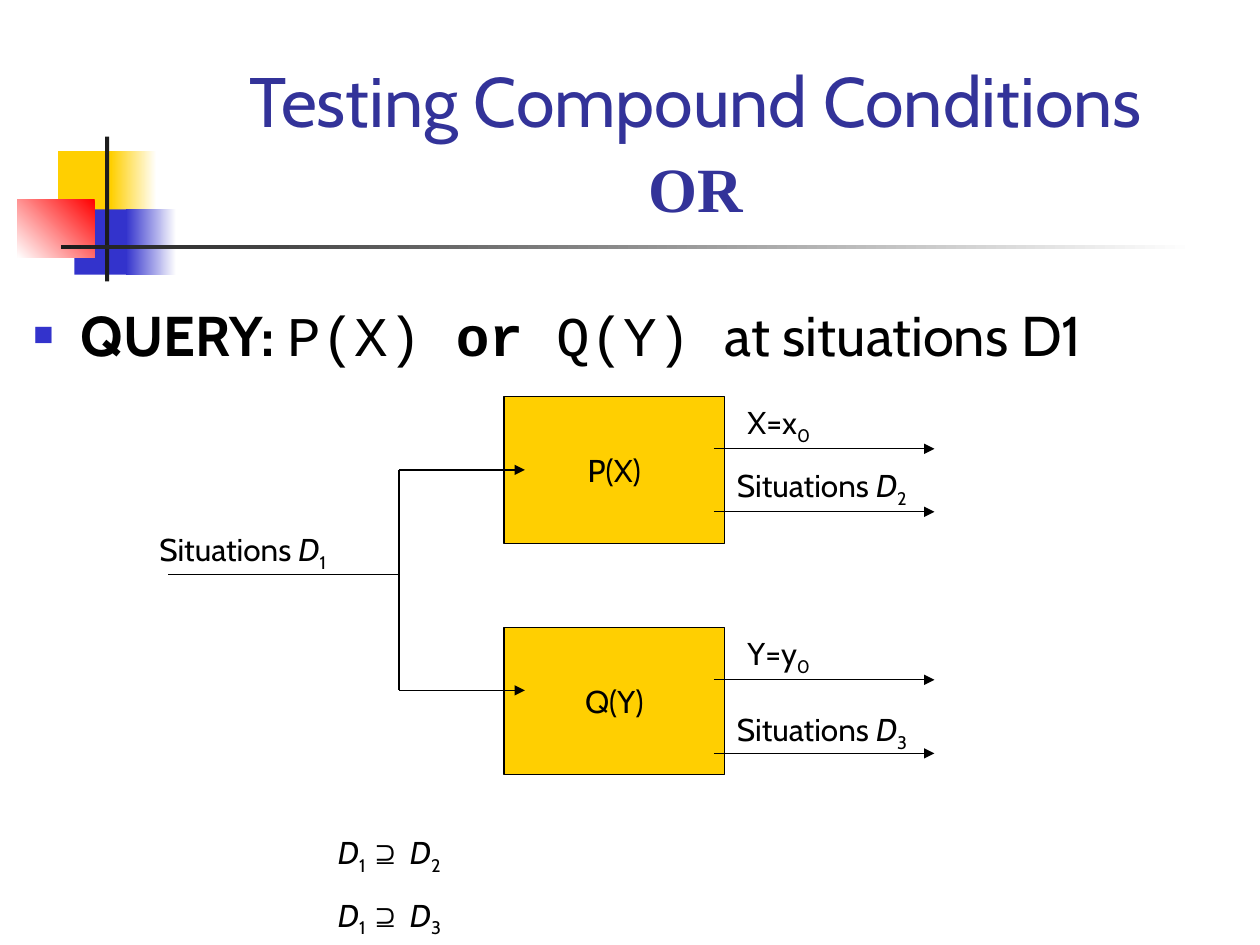
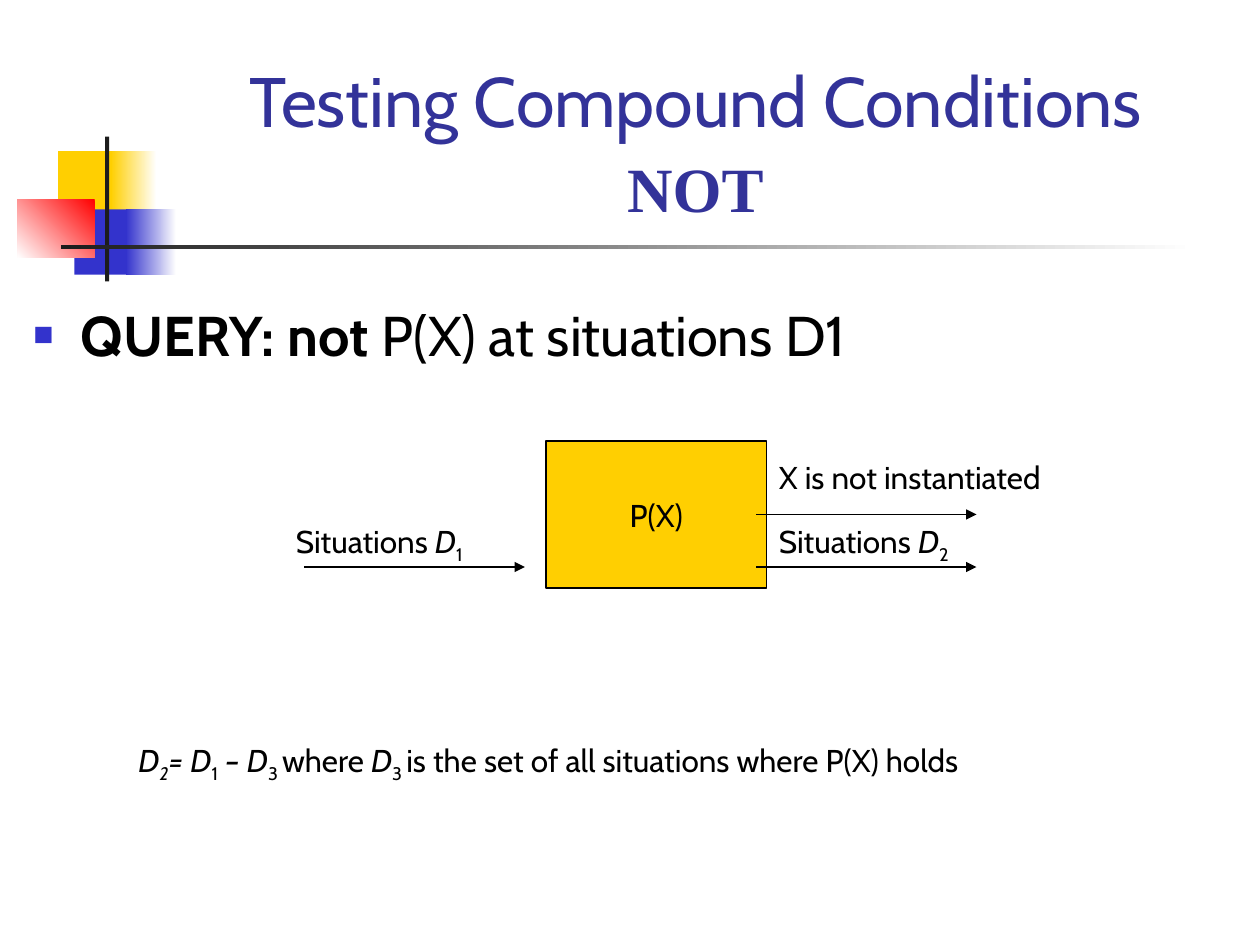
"""Build two slides on testing compound conditions with OR and NOT."""
from dataclasses import dataclass
from typing import NamedTuple

from lxml import etree
from pptx import Presentation
from pptx.dml import color
from pptx.enum import shapes, text
from pptx.oxml import ns
from pptx.util import Pt


@dataclass(frozen=True)
class Theme:
    """Colours, fonts and type sizes."""
    gold: str = "FFCF01"
    blue: str = "3333CC"
    red: str = "FF0000"
    dark: str = "1C1C1C"
    white: str = "FFFFFF"
    black: str = "000000"
    navy: str = "333399"
    sans: str = "Cabin"
    serif: str = "Times New Roman"
    mono: str = "Courier New"
    sign: str = "Arial"
    head: float = 40
    word: float = 36
    query: float = 32
    label: float = 18


T = Theme()


class Area(NamedTuple):
    """Place and size in points."""
    left: float
    top: float
    width: float
    height: float


class Run(NamedTuple):
    """A stretch of text with one format."""
    text: str
    bold: bool = False
    ital: bool = False
    sub: bool = False
    font: str = T.sans


class Block(NamedTuple):
    """A plain or fading rectangle of the corner design."""
    area: Area
    fill: str
    fade: str = ""
    angle: float = 180


class Node(NamedTuple):
    """A condition box, named by its text."""
    name: str
    left: float
    top: float


class Line(NamedTuple):
    """A straight line, with or without an arrowhead."""
    x1: float
    y1: float
    x2: float
    y2: float
    arrow: bool = True


class Note(NamedTuple):
    """A label made of paragraphs of runs."""
    area: Area
    paras: list


class Page(NamedTuple):
    """All that differs from slide to slide."""
    word: str
    query: list
    nodes: list
    lines: list
    notes: list


DECOR = [
    Block(Area(33.2, 86.4, 34.5, 37.4), T.gold),
    Block(Area(63.4, 86.4, 26, 37.4), T.white, T.gold),
    Block(Area(42.5, 119.6, 33, 37.4), T.blue),
    Block(Area(72, 119.6, 28.8, 37.4), T.white, T.blue),
    Block(Area(9.9, 113.8, 44.2, 33.4), T.red, T.white, 225),
    Block(Area(60, 78, 2.4, 82.8), T.dark),
    Block(Area(34.7, 140, 648, 2.5), T.white, T.dark),
]
HEAD = Area(90.7, 30.2, 613.4, 54)
WORD = HEAD._replace(top=78)
BODY = Area(12, 168, 700, 48)
NODE_W, NODE_H = 126, 84
REACH = 126


def rgb(code: str) -> color.RGBColor:
    """Turn a hex code into a colour."""
    return color.RGBColor.from_string(code)


def pts(vals) -> list:
    """Turn numbers into point lengths."""
    return [Pt(val) for val in vals]


def var(num: int) -> list:
    """Give the runs of a situation set with its index."""
    return [Run("D", ital=True), Run(str(num), sub=True)]


def state(num: int) -> list:
    """Give the runs of a situations label."""
    return [Run("Situations "), *var(num)]


def holds(num: int) -> list:
    """Give the runs that say the first set holds another."""
    return [*var(1), Run(" ", sub=True), Run("⊇ ", bold=True, font=T.sign), *var(num)]


def write(frame, paras: list, *, size: float = T.label, tint: str = T.black,
          align=text.PP_ALIGN.LEFT, anchor=text.MSO_ANCHOR.TOP,
          wrap: bool = True, gap: float = 11.2, bullet: bool = False) -> None:
    """Fill a text frame with formatted paragraphs."""
    frame.word_wrap = wrap
    frame.vertical_anchor = anchor
    for num, runs in enumerate(paras):
        para = frame.add_paragraph() if num else frame.paragraphs[0]
        if bullet:
            mark(para)
        para.alignment = align
        if num:
            para.space_before = Pt(gap)
        for item in runs:
            run = para.add_run()
            run.text = item.text
            font = run.font
            font.name, font.size = item.font, Pt(size)
            font.bold, font.italic = item.bold, item.ital
            font.color.rgb = rgb(tint)
            if item.sub:
                run._r.get_or_add_rPr().set("baseline", "-25000")


def mark(para) -> None:
    """Give a paragraph a small square bullet."""
    props = para._p.get_or_add_pPr()
    props.set("marL", str(Pt(27)))
    props.set("indent", str(Pt(-27)))
    tone = etree.SubElement(props, ns.qn("a:buClr"))
    etree.SubElement(tone, ns.qn("a:srgbClr"), val=T.blue)
    etree.SubElement(props, ns.qn("a:buSzPct"), val="60000")
    etree.SubElement(props, ns.qn("a:buFont"), typeface=T.sign)
    etree.SubElement(props, ns.qn("a:buChar"), char="■")


def label(slide, area: Area, paras: list, **form) -> None:
    """Add a text box."""
    write(slide.shapes.add_textbox(*pts(area)).text_frame, paras, **form)


def block(slide, item: Block):
    """Add a rectangle without an outline."""
    shape = slide.shapes.add_shape(shapes.MSO_SHAPE.RECTANGLE, *pts(item.area))
    shape.shadow.inherit = False
    shape.line.fill.background()
    if item.fade:
        shape.fill.gradient()
        shape.fill.gradient_angle = item.angle
        for stop, tone in zip(shape.fill.gradient_stops, (item.fill, item.fade)):
            stop.color.rgb = rgb(tone)
    else:
        shape.fill.solid()
        shape.fill.fore_color.rgb = rgb(item.fill)
    return shape


def stroke(line) -> None:
    """Make a line thin and black."""
    line.color.rgb = rgb(T.black)
    line.width = Pt(0.75)


def box(slide, node: Node) -> None:
    """Add a condition box."""
    shape = block(slide, Block(Area(node.left, node.top, NODE_W, NODE_H), T.gold))
    stroke(shape.line)
    write(shape.text_frame, [[Run(node.name)]], align=text.PP_ALIGN.CENTER,
          anchor=text.MSO_ANCHOR.MIDDLE, wrap=False)


def link(slide, item: Line) -> None:
    """Add a straight line."""
    conn = slide.shapes.add_connector(shapes.MSO_CONNECTOR.STRAIGHT, *pts(item[:4]))
    stroke(conn.line)
    if item.arrow:
        etree.SubElement(conn.line._get_or_add_ln(), ns.qn("a:tailEnd"), type="triangle")
    etree.SubElement(conn._element.spPr, ns.qn("a:effectLst"))


def flow(left: float, *tops: float) -> list:
    """Give level arrows of equal length."""
    return [Line(left, top, left + REACH, top) for top in tops]


def build(deck, page: Page) -> None:
    """Add one slide."""
    slide = deck.slides.add_slide(deck.slide_layouts[6])
    for item in DECOR:
        block(slide, item)
    for node in page.nodes:
        box(slide, node)
    for line in page.lines:
        link(slide, line)
    for note in page.notes:
        label(slide, note.area, note.paras)
    title = dict(tint=T.navy, align=text.PP_ALIGN.CENTER, anchor=text.MSO_ANCHOR.BOTTOM)
    label(slide, HEAD, [[Run("Testing Compound Conditions")]], size=T.head, **title)
    label(slide, WORD, [[Run(page.word, bold=True, font=T.serif)]], size=T.word, **title)
    label(slide, BODY, [page.query], size=T.query, bullet=True)


FORK, UPPER, TRUNK, LOWER = 228, 268.5, 328.5, 394.5

PAGES = [
    Page(
        "OR",
        [Run("QUERY: ", bold=True), Run("P(X) ", font=T.mono),
         Run("or", bold=True, font=T.mono), Run(" Q(Y) ", font=T.mono),
         Run("at situations D1")],
        [Node("P(X)", 288, 226.6), Node("Q(Y)", 288, 358.6)],
        [*flow(408, 256.5, 292.5, 388.5, 430.5),
         Line(FORK, UPPER, 300, UPPER),
         Line(FORK, UPPER, FORK, LOWER, False),
         Line(FORK, LOWER, 300, LOWER),
         Line(FORK, TRUNK, 96, TRUNK, False)],
        [Note(Area(84, 299.5, 150, 31.7), [state(1)]),
         Note(Area(414, 262.6, 120, 31.7), [state(2)]),
         Note(Area(414, 402, 120, 31.7), [state(3)]),
         Note(Area(420, 226.6, 60, 31.7), [[Run("X=x"), Run("0", sub=True)]]),
         Note(Area(420, 358.6, 60, 31.7), [[Run("Y=y"), Run("0", sub=True)]]),
         Note(Area(186, 472.5, 90, 67), [holds(2), holds(3)])],
    ),
    Page(
        "NOT",
        [Run("QUERY: not ", bold=True), Run("P(X) at situations D1")],
        [Node("P(X)", 312, 252)],
        [*flow(432, 294, 324), *flow(174, 324)],
        [Note(Area(438, 258, 192, 28.8), [[Run("X is not instantiated")]]),
         Note(Area(438, 295, 216, 31.7), [state(2)]),
         Note(Area(162, 295, 150, 31.7), [state(1)]),
         Note(Area(72, 420, 630, 31.7), [[
             Run("D", ital=True), Run("2", ital=True, sub=True),
             Run("= ", ital=True), *var(1), Run(" – ", ital=True), *var(3),
             Run(" ", sub=True), Run("where "), *var(3), Run(" ", sub=True),
             Run("is the set of all situations where P(X) holds")]])],
    ),
]


def main() -> None:
    """Build and save the deck."""
    deck = Presentation()
    deck.slide_width, deck.slide_height = Pt(720), Pt(540)
    for page in PAGES:
        build(deck, page)
    deck.save("out.pptx")


if __name__ == "__main__":
    main()
